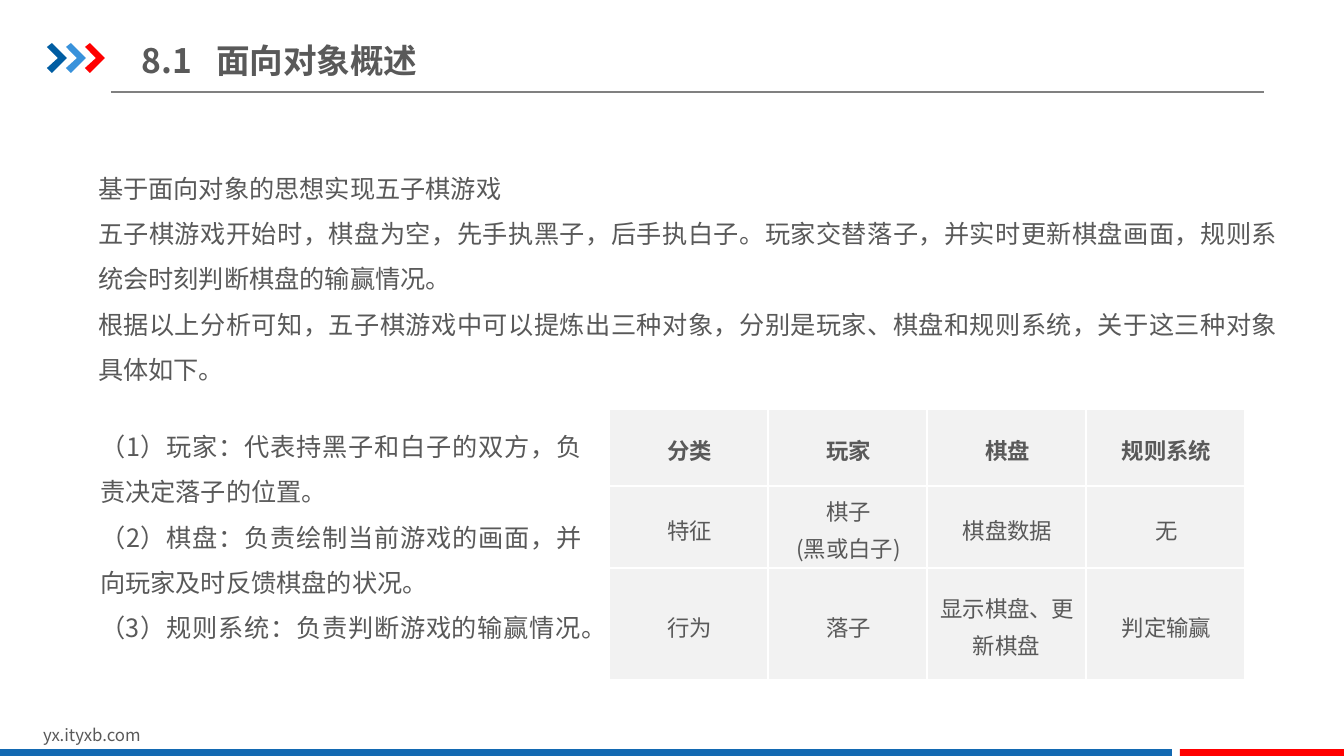
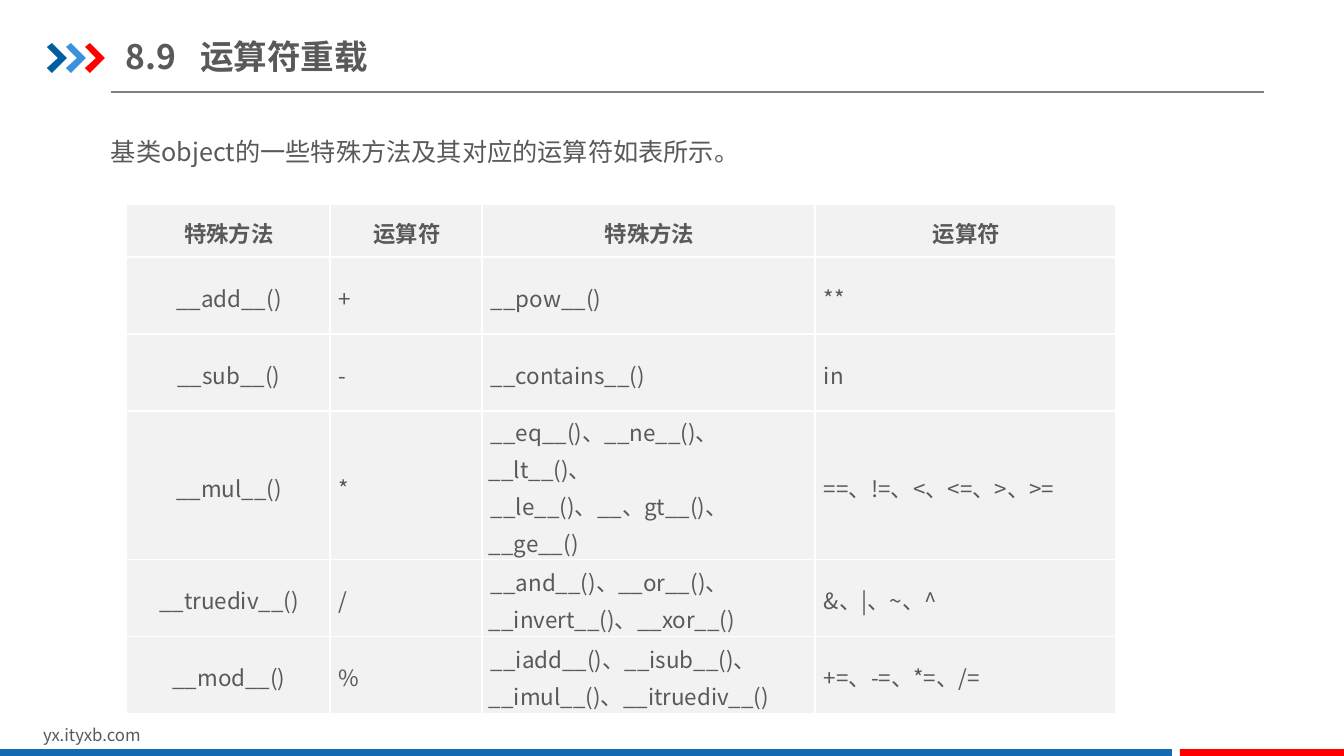
from dataclasses import dataclass

from lxml import etree
from pptx import Presentation
from pptx import util as u
from pptx.dml.color import RGBColor
from pptx.enum import shapes, text
from pptx.oxml.ns import qn

EMU_PER_PX = 12192000 / 1344
PAGE_WIDTH, PAGE_HEIGHT = 1344, 756
LEFT, CENTER, JUSTIFY = text.PP_ALIGN.LEFT, text.PP_ALIGN.CENTER, text.PP_ALIGN.JUSTIFY


@dataclass(frozen=True)
class Theme:
    font: str = "Noto Sans CJK SC"
    ink: str = "595959"
    rule: str = "808080"
    cell: str = "F2F2F2"
    border: str = "FFFFFF"
    band: str = "1369B2"
    accent: str = "FF0000"
    chevrons: tuple = ("005DA2", "3992DB", "FF0000")
    title_size: int = 24
    body_size: int = 18
    table_size: int = 16
    footer_size: int = 12


THEME = Theme()


def px(length):
    return u.Emu(round(length * EMU_PER_PX))


def place(*lengths):
    return [px(length) for length in lengths]


# Text

def set_indent(para, margin, first_line):
    properties = para._p.get_or_add_pPr()
    properties.set("marL", str(px(margin)))
    properties.set("indent", str(px(first_line)))


def format_para(para, size, bold=False, align=LEFT, spacing=1.0):
    para.alignment = align
    para.line_spacing = spacing
    para.space_before = u.Pt(0)
    for span in para.runs:
        span.font.name = THEME.font
        span.font.size = u.Pt(size)
        span.font.bold = bold
        span.font.color.rgb = RGBColor.from_string(THEME.ink)
        east_asian = etree.Element(qn("a:ea"), typeface=THEME.font)
        span.font._element.find(qn("a:latin")).addnext(east_asian)


def set_margins(target, side, vertical):
    target.margin_left = target.margin_right = px(side)
    target.margin_top = target.margin_bottom = px(vertical)


def add_text(page, area, lines, size=THEME.body_size, align=LEFT, spacing=1.5,
             margins=(10, 5)):
    frame = page.shapes.add_textbox(*place(*area)).text_frame
    frame.word_wrap = True
    set_margins(frame, *margins)
    frame.text = "\n".join(lines)
    for para in frame.paragraphs:
        format_para(para, size, align=align, spacing=spacing)


def set_title(page, number, name, area, side_margin):
    title = page.shapes.title
    title.left, title.top, title.width, title.height = place(*area)
    frame = title.text_frame
    frame.text = f"{number}\t{name}"
    frame.word_wrap = True
    frame.auto_size = text.MSO_AUTO_SIZE.NONE
    frame.vertical_anchor = text.MSO_ANCHOR.MIDDLE
    set_margins(frame, side_margin, 5)
    para = frame.paragraphs[0]
    # The name starts at the hanging indent
    set_indent(para, 74, -74)
    format_para(para, THEME.title_size, bold=True)


# Shapes

def paint(shape, color):
    shape.shadow.inherit = False
    shape.fill.solid()
    shape.fill.fore_color.rgb = RGBColor.from_string(color)
    shape.line.fill.background()


def add_band(page, left, width, color):
    band = page.shapes.add_shape(shapes.MSO_SHAPE.RECTANGLE, *place(left, 749, width, 9))
    paint(band, color)


def add_rule(page):
    rule = page.shapes.add_connector(shapes.MSO_CONNECTOR.STRAIGHT, *place(111, 92, 1264, 92))
    rule.line.color.rgb = RGBColor.from_string(THEME.rule)
    rule.line.width = u.Pt(0.75)
    etree.SubElement(rule._element.spPr, qn("a:effectLst"))


def add_chevrons(page):
    group = page.shapes.add_group_shape()
    outline = [(0, 4), (5, 0), (20, 15), (5, 30), (0, 25), (11, 15)]
    for index, color in enumerate(THEME.chevrons):
        points = [(47 + 19 * index + x, 43 + y) for x, y in outline]
        builder = group.shapes.build_freeform(*points[0], scale=EMU_PER_PX)
        builder.add_line_segments(points[1:], close=True)
        paint(builder.convert_to_shape(), color)


def add_shared_parts(page):
    """Draw the frame of the pages and move it to their layout."""
    own = list(page.shapes)
    add_rule(page)
    add_chevrons(page)
    add_text(page, (33, 720, 321, 30), ["yx.ityxb.com"], THEME.footer_size, spacing=1.0)
    add_band(page, 0, 1172, THEME.band)
    add_band(page, 1180, 164, THEME.accent)
    tree = page.slide_layout.shapes.element
    for shape in list(page.shapes)[len(own):]:
        tree.append(shape.element)


# Tables

def add_borders(cell):
    properties = cell._tc.get_or_add_tcPr()
    for side in ("a:lnL", "a:lnR", "a:lnT", "a:lnB"):
        line = etree.SubElement(properties, qn(side), w=str(u.Pt(1)))
        fill = etree.SubElement(line, qn("a:solidFill"))
        etree.SubElement(fill, qn("a:srgbClr"), val=THEME.border)


def format_cell(cell, content, bold, align):
    cell.text = content
    cell.vertical_anchor = text.MSO_ANCHOR.MIDDLE
    set_margins(cell, 7, 0)
    for para in cell.text_frame.paragraphs:
        set_indent(para, 0, 2)
        format_para(para, THEME.table_size, bold, align, spacing=1.15)
    add_borders(cell)
    cell.fill.solid()
    cell.fill.fore_color.rgb = RGBColor.from_string(THEME.cell)


def add_table(page, left, top, widths, heights, rows, aligns):
    area = place(left, top, sum(widths), sum(heights))
    table = page.shapes.add_table(len(rows), len(widths), *area).table
    table.horz_banding = False
    for column, width in zip(table.columns, widths):
        column.width = px(width)
    for row, height in zip(table.rows, heights):
        row.height = px(height)
    for r, contents in enumerate(rows):
        header = r == 0
        for c, content in enumerate(contents):
            format_cell(table.cell(r, c), content, header, CENTER if header else aligns[c])


# Pages

def build_overview(page):
    set_title(page, "8.1", "面向对象概述", (132, 29, 545, 62), 10)
    add_text(page, (85, 151, 1206, 242), [
        "基于面向对象的思想实现五子棋游戏",
        "五子棋游戏开始时，棋盘为空，先手执黑子，后手执白子。玩家交替落子，并实时更新棋盘画面，"
        "规则系统会时刻判断棋盘的输赢情况。",
        "根据以上分析可知，五子棋游戏中可以提炼出三种对象，分别是玩家、棋盘和规则系统，"
        "关于这三种对象具体如下。",
    ], align=JUSTIFY, margins=(13, 7))
    add_table(page, 609, 409, [159] * 4, [77, 82, 112], [
        ["分类", "玩家", "棋盘", "规则系统"],
        ["特征", "棋子\n(黑或白子)", "棋盘数据", "无"],
        ["行为", "落子", "显示棋盘、更新棋盘", "判定输赢"],
    ], [CENTER] * 4)
    add_text(page, (87, 409, 508, 271), [
        "（1）玩家：代表持黑子和白子的双方，负责决定落子的位置。",
        "（2）棋盘：负责绘制当前游戏的画面，并向玩家及时反馈棋盘的状况。",
        "（3）规则系统：负责判断游戏的输赢情况。",
    ], align=JUSTIFY, margins=(13, 7))


def build_operators(page):
    set_title(page, "8.9", "运算符重载", (126, 29, 506, 55), 0)
    add_table(page, 126, 204, [204, 152, 333, 301], [53] + [77] * 5, [
        ["特殊方法", "运算符"] * 2,
        ["__add__()", "+", "__pow__()", "**"],
        ["__sub__()", "-", "__contains__()", "in"],
        ["__mul__()", "*", "__eq__()、__ne__()、__lt__()、\n__le__()、__、gt__()、__ge__()",
         "==、!=、<、<=、>、>="],
        ["__truediv__()", "/", "__and__()、__or__()、__invert__()、__xor__()", "&、|、~、^"],
        ["__mod__()", "%", "__iadd__()、__isub__()、__imul__()、__itruediv__()",
         "+=、-=、*=、/="],
    ], [CENTER, LEFT, LEFT, LEFT])
    add_text(page, (101, 116, 1111, 72), ["基类object的一些特殊方法及其对应的运算符如表所示。"])


def main():
    deck = Presentation()
    deck.slide_width, deck.slide_height = place(PAGE_WIDTH, PAGE_HEIGHT)
    title_only = deck.slide_layouts[5]
    pages = [deck.slides.add_slide(title_only) for _ in range(2)]
    add_shared_parts(pages[0])
    build_overview(pages[0])
    build_operators(pages[1])
    deck.save("out.pptx")


if __name__ == "__main__":
    main()
